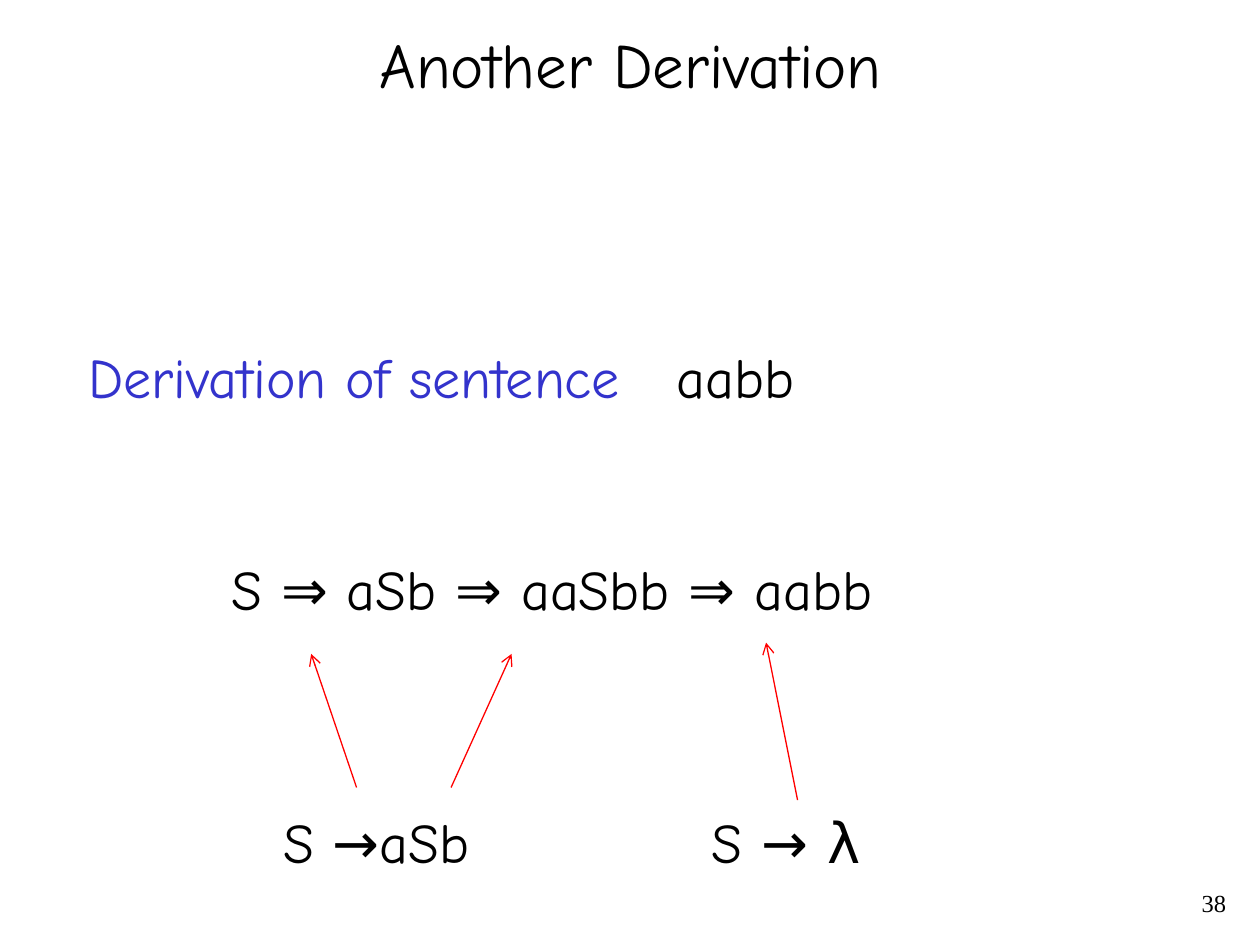
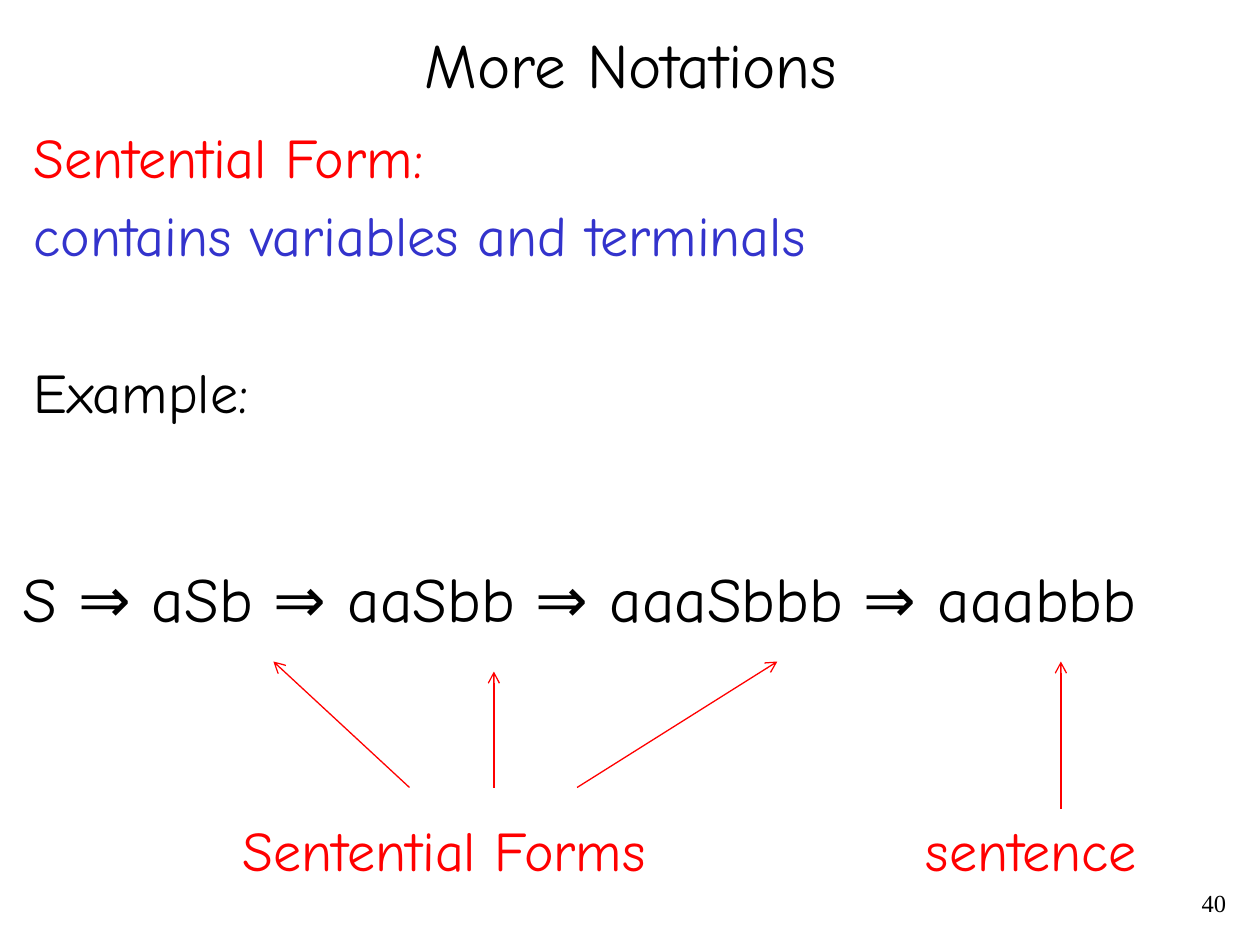
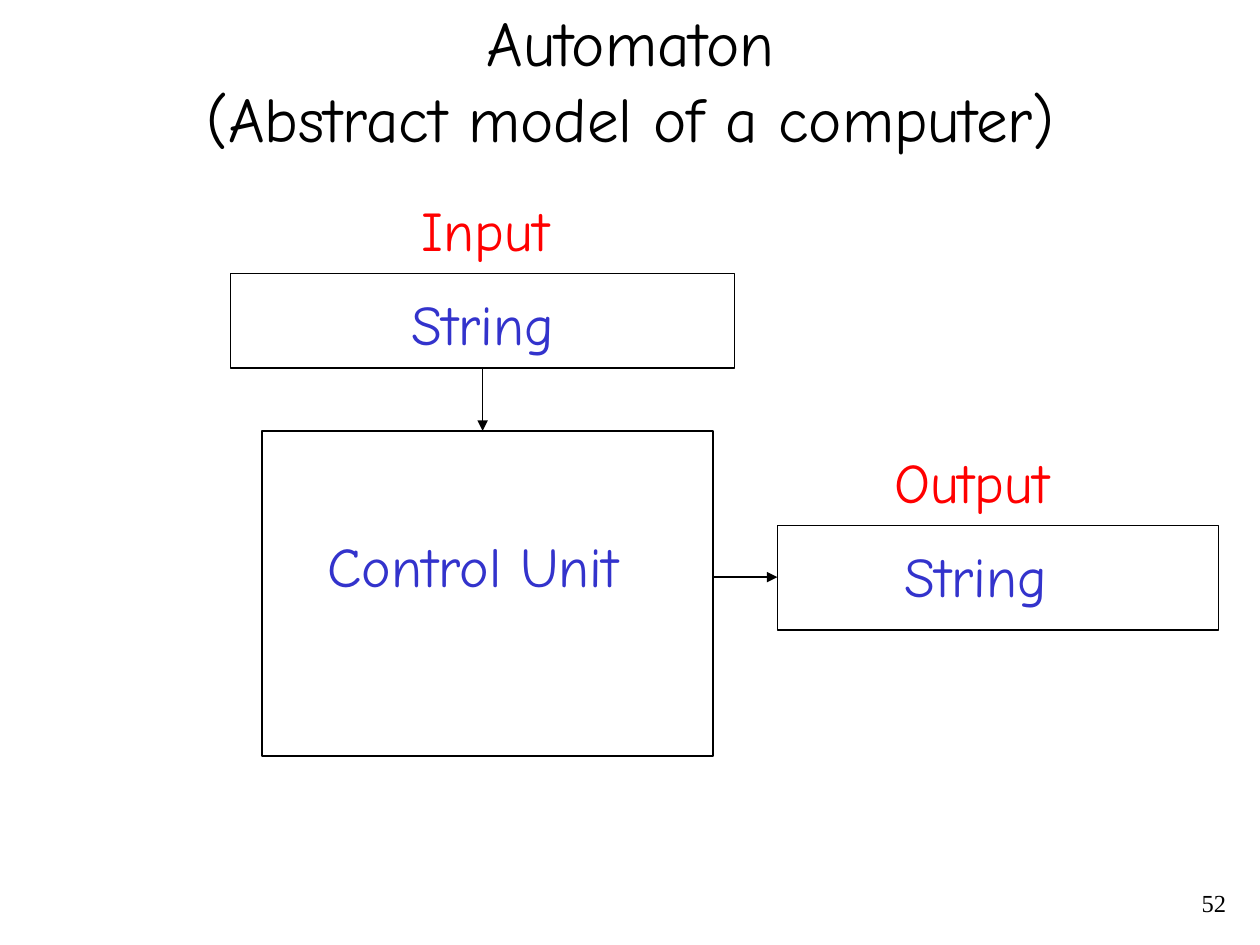
from dataclasses import dataclass
from typing import NamedTuple

from lxml.etree import SubElement
from pptx import Presentation
from pptx.dml.color import RGBColor
from pptx.enum.shapes import MSO_CONNECTOR, MSO_SHAPE
from pptx.enum.text import MSO_ANCHOR, MSO_AUTO_SIZE, PP_ALIGN
from pptx.oxml.ns import qn
from pptx.util import Inches, Pt


@dataclass(frozen=True)
class Theme:
    black: RGBColor = RGBColor(0x00, 0x00, 0x00)
    red: RGBColor = RGBColor(0xFF, 0x00, 0x00)
    blue: RGBColor = RGBColor(0x33, 0x33, 0xCC)
    font: str = "Comic Neue"
    number_font: str = "Times New Roman"
    title_size: int = 36
    text_size: int = 32
    number_size: int = 14
    line_width: float = 0.75
    paragraph_gap: float = 6.4
    section_gap: float = 51.3


class Box(NamedTuple):
    left: float
    top: float
    width: float
    height: float

    def inner(self, left, top, width, height):
        """Return a box placed relative to this one's top left corner."""
        return Box(self.left + left, self.top + top, width, height)

    def lengths(self):
        return [Inches(value) for value in self]


THEME = Theme()
LABEL_HEIGHT = 0.63
PAGE = Box(0, 0, 10, 7.5)


def format_font(font, color, size=THEME.text_size, name=THEME.font):
    font.name = name
    font.size = Pt(size)
    font.color.rgb = color
    font.bold = False


def add_text(slide, box, text, color=THEME.black, size=THEME.text_size,
             name=THEME.font, alignment=PP_ALIGN.LEFT):
    shape = slide.shapes.add_textbox(*box.lengths())
    shape.text_frame.word_wrap = True
    paragraph = shape.text_frame.paragraphs[0]
    paragraph.text = text
    paragraph.alignment = alignment
    format_font(paragraph.font, color, size, name)
    return shape.text_frame


def set_tab_stop(paragraph, position):
    tab_list = SubElement(paragraph._p.get_or_add_pPr(), qn("a:tabLst"))
    # The schema places the tab list ahead of the default run properties.
    paragraph._p.pPr.find(qn("a:defRPr")).addprevious(tab_list)
    SubElement(tab_list, qn("a:tab"), pos=str(Inches(position)), algn="l")


def add_arrow(slide, box, start, end, color=THEME.red, head="arrow"):
    """Draw an arrow between two points given relative to the box."""
    points = [Inches(origin + offset) for point in (start, end)
              for origin, offset in zip(box[:2], point)]
    connector = slide.shapes.add_connector(MSO_CONNECTOR.STRAIGHT, *points)
    connector.line.color.rgb = color
    connector.line.width = Pt(THEME.line_width)
    SubElement(connector.line._get_or_add_ln(), qn("a:tailEnd"), type=head)
    SubElement(connector._element.spPr, qn("a:effectLst"))


def add_frame(slide, box):
    shape = slide.shapes.add_shape(MSO_SHAPE.RECTANGLE, *box.lengths())
    shape.shadow.inherit = False
    shape.fill.background()
    shape.line.color.rgb = THEME.black
    shape.line.width = Pt(THEME.line_width)


def add_page(presentation, title, number, title_height=0.67):
    slide = presentation.slides.add_slide(presentation.slide_layouts[5])
    placeholder = slide.shapes.title
    placeholder.left, placeholder.top, placeholder.width, placeholder.height = (
        PAGE.inner(0.17, 0.17, 9.67, title_height).lengths())
    frame = placeholder.text_frame
    frame.text = title
    frame.auto_size = MSO_AUTO_SIZE.NONE
    frame.vertical_anchor = MSO_ANCHOR.MIDDLE
    paragraph = frame.paragraphs[0]
    paragraph.alignment = PP_ALIGN.CENTER
    format_font(paragraph.font, THEME.black, THEME.title_size)
    add_text(slide, PAGE.inner(7.75, 7, 2.08, 0.33), str(number),
             size=THEME.number_size, name=THEME.number_font,
             alignment=PP_ALIGN.RIGHT)
    return slide


def add_sentence(slide, box):
    frame = add_text(slide, box, "Derivation of sentence\t", THEME.blue)
    paragraph = frame.paragraphs[0]
    set_tab_stop(paragraph, 4.67)
    run = paragraph.add_run()
    run.text = "aabb"
    run.font.color.rgb = THEME.black


def add_derivation_with_rules(slide, box):
    add_text(slide, box.inner(0, 0, 5.76, 0.64), "S ⇒ aSb ⇒ aaSbb ⇒ aabb")
    rules = add_text(slide, box.inner(0.41, 2.01, 5.35, 0.64),
                     "S →aSb\tS → λ")
    set_tab_stop(rules.paragraphs[0], 3.4)
    for start, end in (((1.09, 1.9), (0.73, 0.84)),
                       ((1.84, 1.9), (2.32, 0.84)),
                       ((4.59, 2), (4.34, 0.75))):
        add_arrow(slide, box, start, end)


def add_definition(slide, box):
    lines = (("Sentential Form:", THEME.red, 0),
             ("contains variables and terminals", THEME.blue,
              THEME.paragraph_gap),
             ("Example:", THEME.black, THEME.section_gap))
    frame = add_text(slide, box, "\n".join(text for text, *_ in lines)
                     .split("\n")[0], lines[0][1])
    for text, color, gap in lines[1:]:
        paragraph = frame.add_paragraph()
        paragraph.text = text
        paragraph.space_before = Pt(gap)
        format_font(paragraph.font, color)


def add_labelled_derivation(slide, box):
    add_text(slide, box.inner(0, 0, 9.84, 0.71),
             "S ⇒ aSb ⇒ aaSbb ⇒ aaaSbbb ⇒ aaabbb", size=THEME.title_size)
    for text, left, width in (("Sentential Forms", 1.75, 3.77),
                              ("sentence", 7.17, 2.05)):
        add_text(slide, box.inner(left, 2.03, width, LABEL_HEIGHT), text,
                 THEME.red)
    for start, end in (((3.17, 1.86), (2.09, 0.86)),
                       ((3.84, 1.86), (3.84, 0.94)),
                       ((4.5, 1.86), (6.09, 0.86)),
                       ((8.34, 2.03), (8.34, 0.86))):
        add_arrow(slide, box, start, end)


def add_tape(slide, box, heading, heading_left, content_left):
    """Draw a string frame with its heading above it."""
    add_frame(slide, box)
    add_text(slide, box.inner(heading_left, -0.67, 1.7, LABEL_HEIGHT),
             heading, THEME.red)
    add_text(slide, box.inner(content_left, 0.08, 1.53, LABEL_HEIGHT),
             "String", THEME.blue)


def add_automaton(slide, box):
    control_unit = box.inner(0.25, 1.25, 3.58, 2.58)
    add_frame(slide, control_unit)
    add_text(slide, control_unit.inner(0.42, 0.75, 2.77, LABEL_HEIGHT),
             "Control Unit", THEME.blue)
    add_tape(slide, box.inner(0, 0, 4, 0.75), "Input", 1.42, 1.34)
    add_tape(slide, box.inner(4.34, 2, 3.5, 0.83), "Output", 0.83, 0.91)
    for start, end in (((2, 0.75), (2, 1.25)), ((3.84, 2.41), (4.34, 2.41))):
        add_arrow(slide, box, start, end, THEME.black, "triangle")


def main():
    presentation = Presentation()
    presentation.slide_width = Inches(PAGE.width)
    presentation.slide_height = Inches(PAGE.height)

    slide = add_page(presentation, "Another Derivation", 38)
    add_sentence(slide, PAGE.inner(0.6, 2.67, 7.32, 0.64))
    add_derivation_with_rules(slide, PAGE.inner(1.74, 4.35, 5.76, 2.65))

    slide = add_page(presentation, "More Notations", 40)
    add_definition(slide, PAGE.inner(0.17, 0.92, 9.67, 6))
    add_labelled_derivation(slide, PAGE.inner(0.08, 4.39, 9.84, 2.66))

    slide = add_page(presentation, "Automaton\v(Abstract model of a computer)",
                     52, title_height=0.92)
    add_automaton(slide, PAGE.inner(1.83, 2.17, 7.84, 3.83))

    presentation.save("out.pptx")


if __name__ == "__main__":
    main()
